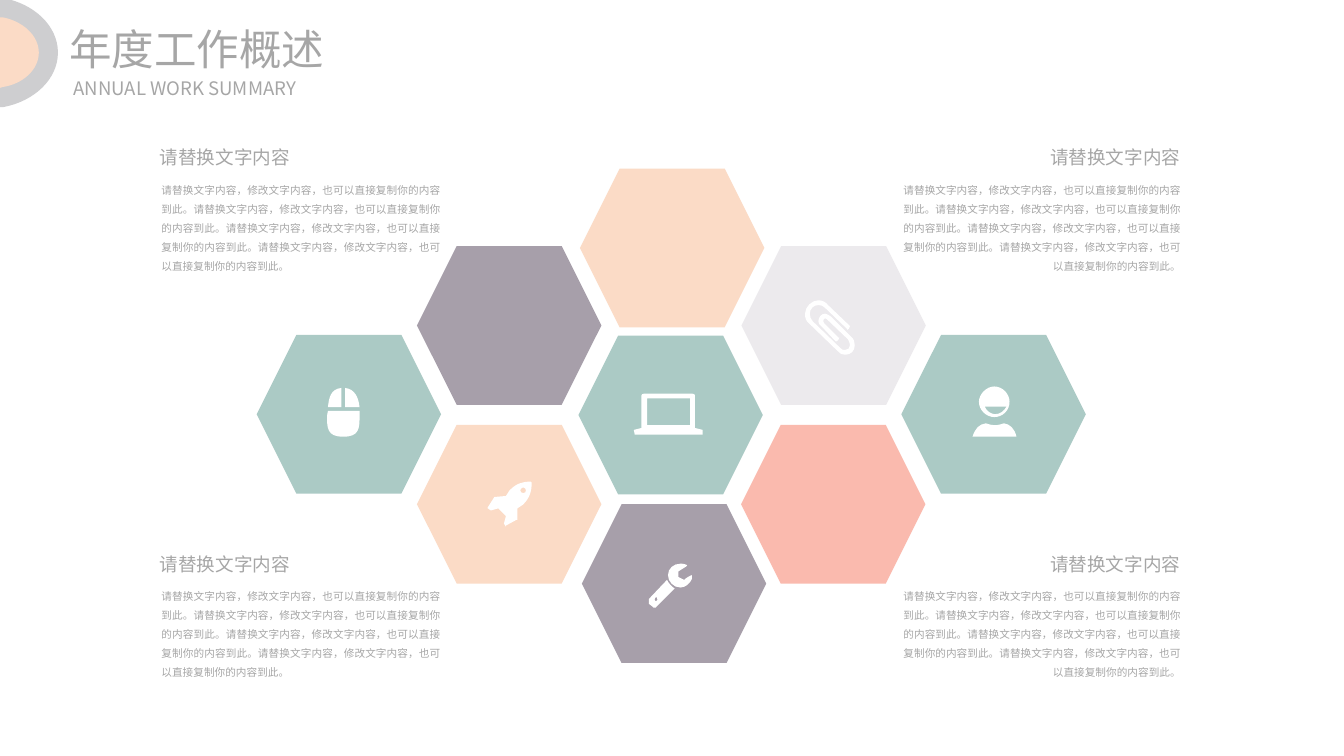
from lxml.etree import SubElement
from pptx import Presentation
from pptx.dml.color import RGBColor
from pptx.enum.shapes import MSO_SHAPE
from pptx.enum.text import MSO_ANCHOR, MSO_AUTO_SIZE, PP_ALIGN
from pptx.oxml.ns import qn
from pptx.util import Cm, Pt

FONT = "Noto Sans CJK SC"
WHITE = RGBColor(0xFF, 0xFF, 0xFF)
TEXT_GRAY = RGBColor(0xA6, 0xA6, 0xA6)
RING_GRAY = RGBColor(0xCE, 0xCE, 0xD0)
PALE_GRAY = RGBColor(0xEC, 0xEA, 0xED)
PEACH = RGBColor(0xFB, 0xDB, 0xC6)
PINK = RGBColor(0xFA, 0xBA, 0xAE)
PURPLE = RGBColor(0xA7, 0x9F, 0xAA)
TEAL = RGBColor(0xAB, 0xCA, 0xC5)

TITLE = "年度工作概述"
SUBTITLE = " ANNUAL WORK SUMMARY"
HEADING = "请替换文字内容"
BODY = "请替换文字内容，修改文字内容，也可以直接复制你的内容到此。" * 4

# Left and top in cm, colour
HEXAGON_SIZE = (4.9, 4.22)
HEXAGONS = [
    (19.7, 6.54, PALE_GRAY),
    (15.41, 4.48, PEACH),
    (19.69, 11.29, PINK),
    (11.08, 6.54, PURPLE),
    (11.08, 11.29, PEACH),
    (15.46, 13.4, PURPLE),
    (15.37, 8.92, TEAL),
    (6.82, 8.9, TEAL),
    (23.95, 8.9, TEAL),
]

# Outlines: M starts a contour, L is a line, C a cubic curve, Z closes
OUTLINE_UNIT = 0.0254  # cm
RING = "M 61 57 C 61 29 36 6 4 0 L 0 0 L 0 114 L 4 114 C 36 108 61 85 61 57 Z"
RING_CORE = "M 41 37 C 41 19 24 4 3 0 L 0 0 L 0 74 L 3 73 C 24 70 41 55 41 37 Z"
LAPTOP = (
    "M 64 36 L 64 2 C 64 1 63 0 61 0 L 11 0 C 9 0 8 1 8 2 L 8 36 L 0 38 "
    "L 1 43 L 72 43 L 72 38 Z M 59 33 L 14 33 L 14 5 L 59 5 Z"
)
MOUSE = (
    "M 34 24 L 1 24 C 1 26 0 27 0 29 C 0 42 0 51 17 51 C 34 51 34 42 34 29 "
    "C 34 27 34 26 34 24 Z M 19 0 L 19 20 L 34 20 C 33 10 29 1 19 0 Z "
    "M 15 0 C 4 1 2 10 1 20 L 15 20 Z"
)
PERSON_HEAD = (
    "M 16 0 C 8 0 0 8 0 16 C 0 25 8 32 16 32 C 25 32 32 25 32 16 "
    "C 32 8 25 0 16 0 Z M 17 29 C 13 29 8 26 6 21 L 29 21 C 26 26 22 29 17 29 Z"
)
PERSON_BODY = (
    "M 33 0 C 30 1 27 2 23 2 C 20 2 17 1 14 0 C 7 1 3 5 0 14 "
    "L 46 14 C 44 5 39 1 33 0 Z"
)
PAPERCLIP = (
    "M 42 57 C 39 57 36 56 34 53 L 5 25 C 1 22 0 19 0 14 C 0 7 7 0 14 0 "
    "C 18 0 22 2 24 5 L 47 27 C 47 29 45 31 44 31 L 44 30 L 21 8 "
    "C 19 6 17 5 14 5 C 9 5 5 9 5 14 C 5 17 6 20 8 22 L 37 50 "
    "C 38 52 40 52 42 52 C 45 52 47 50 47 47 C 47 45 46 43 45 41 L 23 20 "
    "C 23 20 22 19 21 19 C 20 19 19 20 19 22 C 19 23 19 23 20 24 L 35 39 "
    "L 36 39 C 36 40 34 43 33 43 L 32 43 L 17 27 C 15 26 14 24 14 22 "
    "C 14 18 17 14 21 14 C 23 14 25 16 27 17 L 48 38 C 51 40 52 44 52 47 "
    "C 52 53 48 57 42 57 Z"
)
ROCKET = (
    "M 37 24 C 35 25 33 27 31 28 L 31 40 L 30 40 L 19 46 L 19 47 L 17 44 "
    "L 19 36 L 11 28 L 4 30 L 3 30 L 0 28 L 0 27 L 7 16 L 8 16 L 19 15 "
    "C 20 13 22 11 23 9 C 30 2 36 0 45 0 L 46 1 C 46 10 44 17 37 24 Z "
    "M 37 6 C 36 6 34 8 34 9 C 34 11 36 12 37 12 C 39 12 40 11 40 9 "
    "C 40 8 39 6 37 6 Z"
)
WRENCH = (
    "M 8 45 C 8 46 7 46 6 46 C 5 46 4 46 4 45 L 0 42 C 0 41 0 40 0 39 "
    "L 0 37 L 19 17 C 21 21 24 24 27 26 Z "
    "M 8 35 C 7 35 6 36 6 38 C 6 39 7 39 8 39 L 9 38 C 9 36 8 35 8 35 Z "
    "M 45 16 C 43 21 38 25 33 25 C 26 25 20 19 20 12 C 20 5 26 0 33 0 "
    "C 35 0 37 0 39 1 L 40 2 L 39 3 L 31 8 L 31 14 L 37 17 "
    "C 37 16 44 12 45 12 Z"
)
# Outline, left and top in cm, colour
DRAWINGS = [
    (RING, -0.01, -0.05, RING_GRAY),
    (RING_CORE, -0.01, 0.46, PEACH),
    (LAPTOP, 16.84, 10.46, WHITE),
    (MOUSE, 8.69, 10.31, WHITE),
    (PERSON_HEAD, 26.01, 10.27, WHITE),
    (PERSON_BODY, 25.84, 11.25, WHITE),
    (PAPERCLIP, 21.39, 7.98, WHITE),
    (ROCKET, 12.96, 12.8, WHITE),
    (WRENCH, 17.24, 14.98, WHITE),
]

# Heading left, body left, alignment
TEXT_COLUMNS = [
    (4.24, 4.29, PP_ALIGN.JUSTIFY),
    (26.65, 23.96, PP_ALIGN.RIGHT),
]
TEXT_ROWS = [3.89, 14.69]
BODY_OFFSET = 0.82


def paint(shape, color):
    shape.shadow.inherit = False
    shape.fill.solid()
    shape.fill.fore_color.rgb = color
    shape.line.fill.background()


def contours(outline):
    """Turn an outline string into lists of points in EMU, one per contour."""
    for contour in outline.split("Z")[:-1]:
        numbers = [Cm(int(word) * OUTLINE_UNIT)
                   for word in contour.split() if word.isdigit()]
        yield list(zip(numbers[::2], numbers[1::2]))


def bend_curves(shape, outline):
    """Join the three lines that stand for each C into one cubic curve."""
    commands = iter(list(shape.element.find(".//" + qn("a:path"))))
    for letter in filter(str.isalpha, outline):
        command = next(commands)
        if letter == "C":
            command.tag = qn("a:cubicBezTo")
            for _ in range(2):
                line = next(commands)
                command.append(line[0])
                line.getparent().remove(line)


def draw_outline(slide, outline, left, top, color):
    first, *others = contours(outline)
    builder = slide.shapes.build_freeform(*first[0], scale=1.0)
    builder.add_line_segments(first[1:], close=True)
    for points in others:
        builder.move_to(*points[0])
        builder.add_line_segments(points[1:], close=True)
    shape = builder.convert_to_shape(Cm(left), Cm(top))
    bend_curves(shape, outline)
    paint(shape, color)


def write(shape, text, size, box, alignment=PP_ALIGN.LEFT,
          anchor=MSO_ANCHOR.TOP, before=0, spacing=1.0):
    shape.left, shape.top, shape.width, shape.height = map(Cm, box)
    frame = shape.text_frame
    frame.text = text
    frame.word_wrap = True
    frame.auto_size = MSO_AUTO_SIZE.NONE
    frame.vertical_anchor = anchor
    frame.margin_left = frame.margin_right = frame.margin_top = frame.margin_bottom = 0
    paragraph = frame.paragraphs[0]
    paragraph.alignment = alignment
    paragraph.space_before = Pt(before)
    paragraph.line_spacing = spacing
    font = paragraph.runs[0].font
    font.name = FONT
    font.size = Pt(size)
    font.color.rgb = TEXT_GRAY
    SubElement(paragraph.runs[0]._r.get_or_add_rPr(), qn("a:ea"), typeface=FONT)


def add_text(slide, text, size, box, **options):
    write(slide.shapes.add_textbox(0, 0, 0, 0), text, size, box, **options)


def main():
    presentation = Presentation()
    presentation.slide_width, presentation.slide_height = Cm(35.71), Cm(20.09)
    slide = presentation.slides.add_slide(presentation.slide_layouts[5])

    write(slide.shapes.title, TITLE, 32, (1.84, 0.61, 10.97, 1.37),
          anchor=MSO_ANCHOR.MIDDLE)
    add_text(slide, SUBTITLE, 14, (1.84, 2.03, 7.8, 0.61), anchor=MSO_ANCHOR.MIDDLE)

    for left, top, color in HEXAGONS:
        hexagon = slide.shapes.add_shape(
            MSO_SHAPE.HEXAGON, Cm(left), Cm(top), *map(Cm, HEXAGON_SIZE))
        paint(hexagon, color)
    for drawing in DRAWINGS:
        draw_outline(slide, *drawing)

    for top in TEXT_ROWS:
        for heading_left, body_left, alignment in TEXT_COLUMNS:
            add_text(slide, HEADING, 14, (heading_left, top, 4.72, 0.61),
                     alignment=alignment, before=7.5)
            add_text(slide, BODY, 8, (body_left, top + BODY_OFFSET, 7.42, 2.57),
                     alignment=alignment, before=7.5, spacing=1.5)

    presentation.save("out.pptx")


if __name__ == "__main__":
    main()
